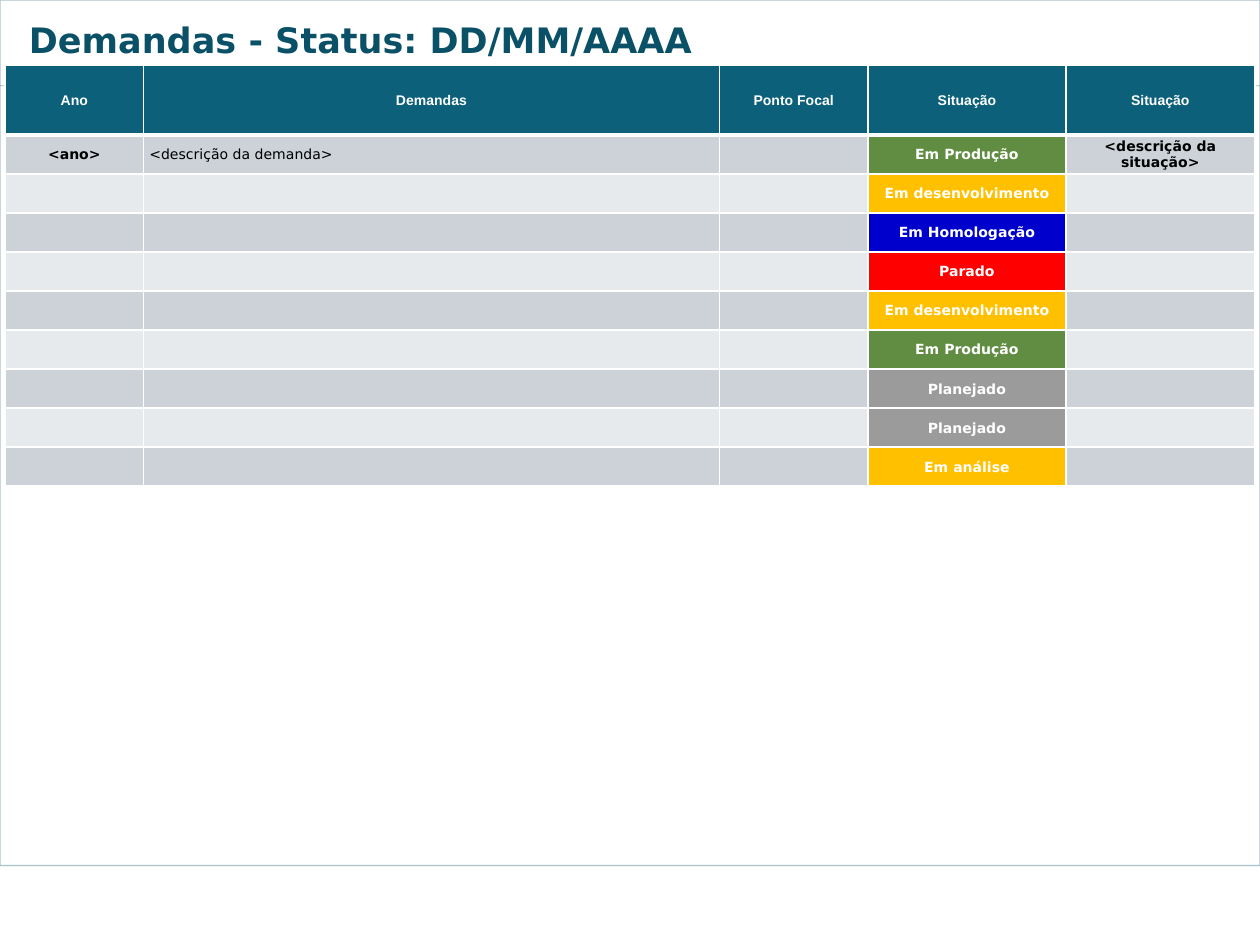
from dataclasses import dataclass
from typing import NamedTuple

from lxml.etree import SubElement
from pptx import Presentation
from pptx.dml.color import RGBColor
from pptx.enum.shapes import MSO_CONNECTOR as Connector, MSO_SHAPE as Shape
from pptx.enum.text import MSO_ANCHOR as Anchor, PP_ALIGN as Align
from pptx.oxml.ns import qn
from pptx.util import Inches, Pt


@dataclass(frozen=True)
class Theme:
    white: str = "FFFFFF"
    black: str = "000000"
    navy: str = "0A5167"
    header: str = "0C607A"
    bands: tuple[str, str] = ("CCD2D7", "E7EAEC")
    title_font: str = "DejaVu Sans"
    header_font: str = "Arial"
    title_size: float = 20
    table_size: float = 8


class Column(NamedTuple):
    heading: str
    width: float


class Status(NamedTuple):
    label: str
    color: str


class CellStyle(NamedTuple):
    fill: str
    insets: tuple[float, float, float, float]
    top: float = 1
    bottom: float = 1


THEME = Theme()
HEADER_HEIGHT = 0.55
ROW_HEIGHT = 0.31
HEADER_INSETS = (0.1, 0.05, 0.1, 0.05)
BODY_INSETS = (0.01, 0.01, 0.01, 0)
STATUS_COLUMN = 3

COLUMNS = [
    Column("Ano", 1.1),
    Column("Demandas", 4.57),
    Column("Ponto Focal", 1.18),
    Column("Situação", 1.57),
    Column("Situação", 1.5),
]

PRODUCTION = Status("Em Produção", "608D41")
DEVELOPMENT = Status("Em desenvolvimento", "FFC000")
APPROVAL = Status("Em Homologação", "0000CC")
STOPPED = Status("Parado", "FF0000")
PLANNED = Status("Planejado", "9B9B9B")
ANALYSIS = Status("Em análise", "FFC000")
STATUSES = [PRODUCTION, DEVELOPMENT, APPROVAL, STOPPED, DEVELOPMENT,
            PRODUCTION, PLANNED, PLANNED, ANALYSIS]
FIRST_ROW = {0: "<ano>", 1: " <descrição da demanda>", 4: "<descrição da situação>"}


def write_text(frame, text: str, *, size: float, font: str, color: str,
               bold: bool = True, align=Align.CENTER) -> None:
    para = frame.paragraphs[0]
    para.alignment = align
    if not text:
        SubElement(para._p, qn("a:endParaRPr"), sz=str(int(size * 100)))
        return
    span = para.add_run()
    span.text = text
    span.font.size = Pt(size)
    span.font.name = font
    span.font.bold = bold
    span.font.color.rgb = RGBColor.from_string(color)


def style_line(line, width: float, opacity: int) -> None:
    line.width = Pt(width)
    line.fill.solid()
    line.fill.fore_color.rgb = RGBColor.from_string(THEME.navy)
    color = line._ln.find(".//" + qn("a:srgbClr"))
    SubElement(color, qn("a:alpha"), val=str(opacity * 1000))


def style_cell(cell, style: CellStyle) -> None:
    cell.vertical_anchor = Anchor.MIDDLE
    (cell.margin_left, cell.margin_top,
     cell.margin_right, cell.margin_bottom) = map(Inches, style.insets)
    properties = cell._tc.get_or_add_tcPr()
    borders = {"lnL": 1, "lnR": 1, "lnT": style.top, "lnB": style.bottom}
    for side, width in borders.items():
        border = SubElement(properties, qn("a:" + side), w=str(Pt(width)))
        fill = SubElement(border, qn("a:solidFill"))
        SubElement(fill, qn("a:srgbClr"), val=THEME.white)
    cell.fill.solid()
    cell.fill.fore_color.rgb = RGBColor.from_string(style.fill)


def draw_frame(page) -> None:
    panel = page.shapes.add_shape(Shape.RECTANGLE, 0, 0, Inches(10), Inches(6.87))
    panel.shadow.inherit = False
    panel.fill.solid()
    panel.fill.fore_color.rgb = RGBColor.from_string(THEME.white)
    style_line(panel.line, 0.75, 35)

    rule = page.shapes.add_connector(Connector.STRAIGHT, 0, Inches(0.68),
                                     Inches(10), Inches(0.68))
    style_line(rule.line, 0.39, 40)
    SubElement(rule._element.spPr, qn("a:effectLst"))


def draw_table(page) -> None:
    width = sum(column.width for column in COLUMNS)
    height = HEADER_HEIGHT + ROW_HEIGHT * len(STATUSES)
    table = page.shapes.add_table(len(STATUSES) + 1, len(COLUMNS), Inches(0.04),
                                  Inches(0.52), Inches(width), Inches(height)).table
    table.horz_banding = False
    table.rows[0].height = Inches(HEADER_HEIGHT)
    header_style = CellStyle(THEME.header, HEADER_INSETS, bottom=3)
    for index, column in enumerate(COLUMNS):
        table.columns[index].width = Inches(column.width)
        cell = table.cell(0, index)
        style_cell(cell, header_style)
        write_text(cell.text_frame, column.heading, size=THEME.table_size,
                   font=THEME.header_font, color=THEME.white)

    for row, status in enumerate(STATUSES, start=1):
        table.rows[row].height = Inches(ROW_HEIGHT)
        for index in range(len(COLUMNS)):
            is_status = index == STATUS_COLUMN
            is_demand = index == 1
            text = FIRST_ROW.get(index, "") if row == 1 else ""
            fill = status.color if is_status else THEME.bands[(row - 1) % 2]
            cell = table.cell(row, index)
            style_cell(cell, CellStyle(fill, BODY_INSETS, top=3 if row == 1 else 1))
            write_text(cell.text_frame, status.label if is_status else text,
                       size=THEME.table_size, font=THEME.title_font,
                       color=THEME.white if is_status else THEME.black,
                       bold=not is_demand,
                       align=Align.LEFT if is_demand else Align.CENTER)


def draw_title(page) -> None:
    box = page.shapes.add_textbox(Inches(0.13), Inches(-0.01), Inches(9.45), Inches(0.54))
    frame = box.text_frame
    frame.word_wrap = True
    frame.vertical_anchor = Anchor.BOTTOM
    write_text(frame, "Demandas - Status: DD/MM/AAAA", size=THEME.title_size,
               font=THEME.title_font, color=THEME.navy, align=Align.LEFT)


def main() -> None:
    deck = Presentation()
    deck.slide_width, deck.slide_height = Inches(10), Inches(7.5)
    page = deck.slides.add_slide(deck.slide_layouts[6])
    draw_frame(page)
    draw_table(page)
    draw_title(page)
    deck.save("out.pptx")


if __name__ == "__main__":
    main()
